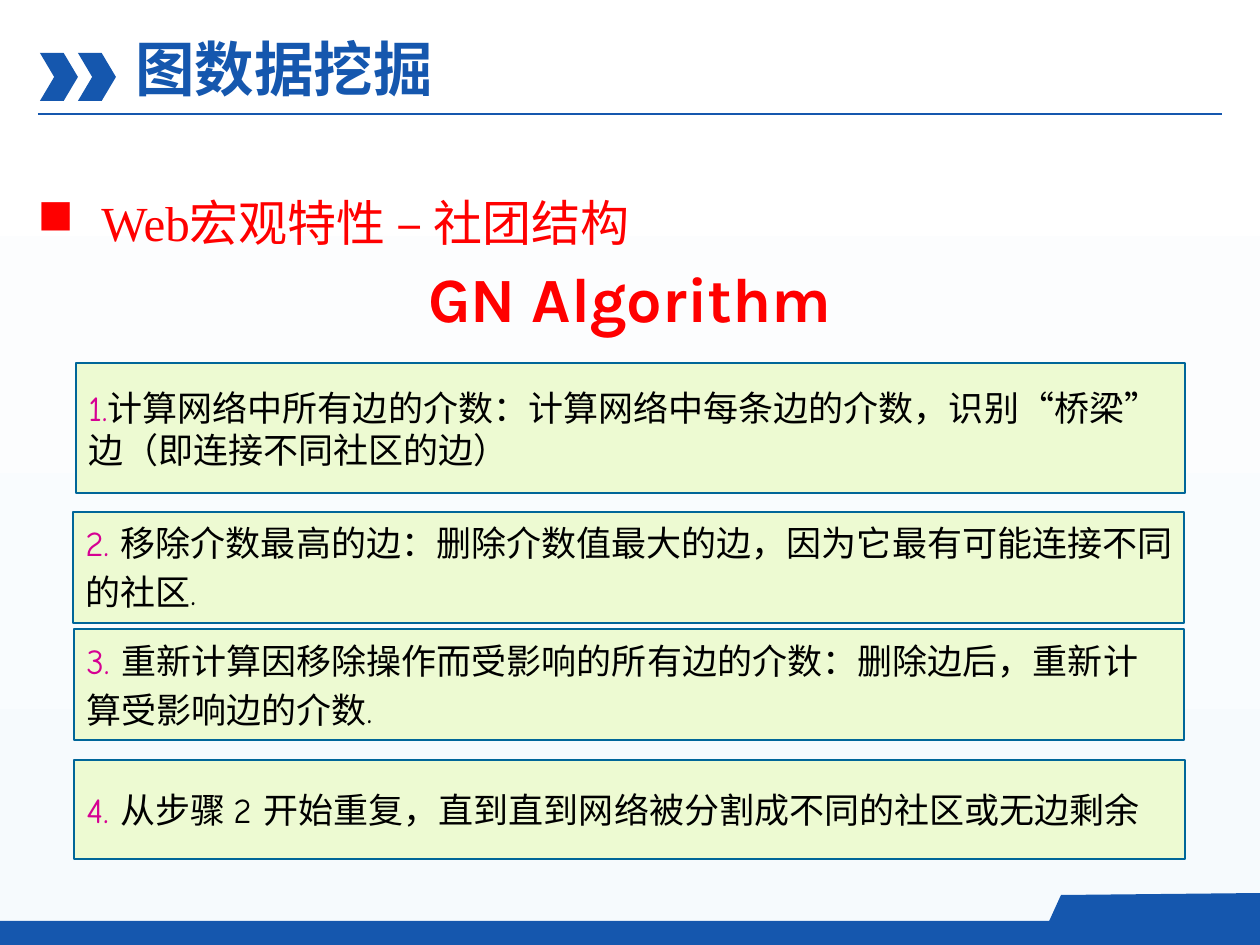
from lxml.etree import SubElement
from pptx import Presentation
from pptx.dml.color import RGBColor
from pptx.enum.shapes import MSO_CONNECTOR as Connector, MSO_SHAPE as Shape
from pptx.enum.text import MSO_ANCHOR as Anchor, MSO_AUTO_SIZE as AutoSize, PP_ALIGN as Align
from pptx.oxml.ns import qn
from pptx.util import Pt

SCALE = 914400 / 126
COLORS = {
    "blue": "1557AE", "red": "FF0000", "magenta": "D60093", "black": "000000",
    "step": "EDFAD2", "border": "006699", "top": "FFFFFF", "bottom": "F6FAFD",
}
SERIF, STEP_FONT, HEADING_FONT, SANS = "Times New Roman", "Comic Neue", "Karla", "DejaVu Sans"

TITLE = "图数据挖掘"
TOPIC = "Web宏观特性 – 社团结构"
HEADING = "GN Algorithm"
STEPS = [
    ((76, 363, 1109, 130), 0, "1.", [
        [("计算网络中所有边的介数：计算网络中每条边的介数，识别“桥梁”", STEP_FONT)],
        [("边（即连接不同社区的边）", STEP_FONT)],
    ]),
    ((73, 512, 1111, 111), 4, "2. ", [
        [("移除介数最高的边：删除介数值最大的边，因为它最有可能连接不同", STEP_FONT)],
        [("的社区.", STEP_FONT)],
    ]),
    ((74, 629, 1110, 111), 4, "3. ", [
        [("重新计算因移除操作而受影响的所有边的介数：", STEP_FONT), ("删除边后，重新计", SANS)],
        [("算受影响边的介数", SANS), (".", STEP_FONT)],
    ]),
    ((74, 760, 1111, 99), 0, "4. ", [
        [("从步骤 2 开始重复，直到直到网络被分割成不同的社区或无边剩余", STEP_FONT)],
    ]),
]
CHEVRONS = [(40, 53, 38, 48), (78, 53, 38, 48)]
FOOTER_BAR = (0, 921, 1260, 24)
FOOTER_TAB = [(1260, 939), (1260, 893), (1061, 895), (1041, 939)]


def px(value):
    return round(value * SCALE)


def color(name):
    return RGBColor.from_string(COLORS[name])


def add_run(paragraph, text, size, font, fill, bold=False):
    run = paragraph.add_run()
    run.text = text
    run.font.size = Pt(size)
    run.font.name = font
    run.font.bold = bold
    run.font.color.rgb = color(fill)


def paint(shape, fill, line=None):
    shape.shadow.inherit = False
    shape.fill.solid()
    shape.fill.fore_color.rgb = color(fill)
    if line:
        shape.line.color.rgb = color(line)
        shape.line.width = Pt(0.75)
    else:
        shape.line.fill.background()


def add_shape(slide, kind, box, fill, line=None):
    shape = slide.shapes.add_shape(kind, *map(px, box))
    paint(shape, fill, line)
    return shape


def add_text(slide, box, wrap=True, anchor=Anchor.TOP):
    frame = slide.shapes.add_textbox(*map(px, box)).text_frame
    frame.word_wrap = wrap
    frame.vertical_anchor = anchor
    return frame


def add_decoration(slide):
    fill = slide.background.fill
    fill.gradient()
    fill.gradient_angle = 270
    for stop, name in zip(fill.gradient_stops, ("top", "bottom")):
        stop.color.rgb = color(name)
    add_shape(slide, Shape.RECTANGLE, FOOTER_BAR, "blue")
    builder = slide.shapes.build_freeform(*FOOTER_TAB[0], scale=SCALE)
    builder.add_line_segments(FOOTER_TAB[1:], close=True)
    paint(builder.convert_to_shape(), "blue")
    rule = slide.shapes.add_connector(Connector.STRAIGHT, px(38), px(114), px(1222), px(114))
    rule.line.color.rgb = color("blue")
    rule.line.width = Pt(1.5)
    SubElement(rule._element.spPr, qn("a:effectLst"))
    for box in CHEVRONS:
        add_shape(slide, Shape.CHEVRON, box, "blue").adjustments[0] = 0.375


def add_step(slide, box, spacing, number, lines):
    frame = add_shape(slide, Shape.RECTANGLE, box, "step", "border").text_frame
    frame.word_wrap = False
    frame.vertical_anchor = Anchor.MIDDLE
    for index, line in enumerate(lines):
        paragraph = frame.add_paragraph() if index else frame.paragraphs[0]
        paragraph.alignment = Align.LEFT
        if index:
            paragraph.space_before = Pt(spacing)
        else:
            add_run(paragraph, number, 20, STEP_FONT, "magenta")
        for text, font in line:
            add_run(paragraph, text, 20, font, "black")


def add_headings(slide):
    paragraph = add_text(slide, (63, 224, 1134, 118), anchor=Anchor.BOTTOM).paragraphs[0]
    paragraph.alignment = Align.CENTER
    paragraph.line_spacing = 0.9
    add_run(paragraph, HEADING, 36, HEADING_FONT, "red", True)

    frame = add_text(slide, (123, 26, 326, 84), wrap=False)
    frame.auto_size = AutoSize.SHAPE_TO_FIT_TEXT
    add_run(frame.paragraphs[0], TITLE, 34, SERIF, "blue", True)

    paragraph = add_text(slide, (25, 175, 1179, 118)).paragraphs[0]
    paragraph.line_spacing = 1.2
    properties = paragraph._p.get_or_add_pPr()
    properties.set("marL", str(px(64)))
    properties.set("indent", str(px(-64)))
    bullet_color = SubElement(properties, qn("a:buClr"))
    SubElement(bullet_color, qn("a:srgbClr"), val=COLORS["red"])
    SubElement(properties, qn("a:buChar"), char="■")
    add_run(paragraph, TOPIC, 28, SERIF, "red")


def main():
    presentation = Presentation()
    presentation.slide_width, presentation.slide_height = px(1260), px(945)
    slide = presentation.slides.add_slide(presentation.slide_layouts[6])
    add_decoration(slide)
    for step in STEPS:
        add_step(slide, *step)
    add_headings(slide)
    presentation.save("out.pptx")


if __name__ == "__main__":
    main()
